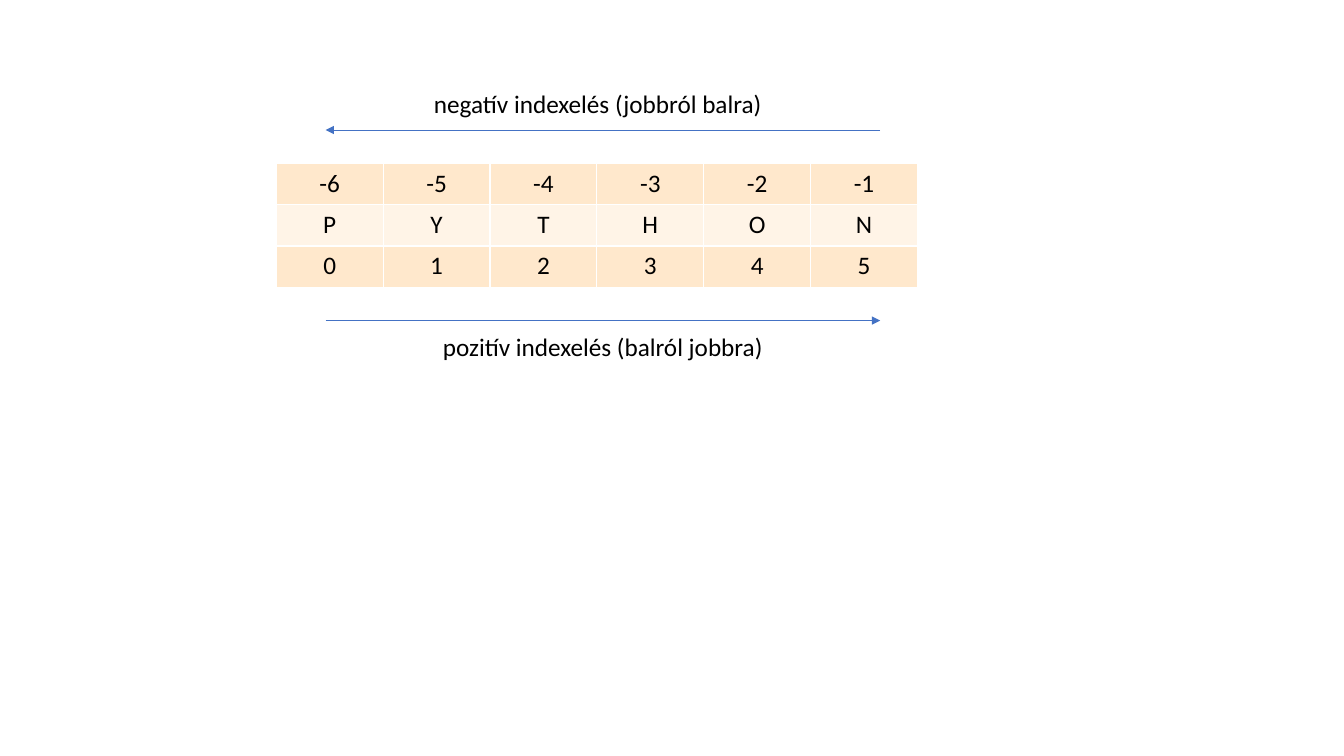
from dataclasses import dataclass

import pptx
import pptx.dml.color
import pptx.enum.shapes
import pptx.enum.text
import pptx.oxml
import pptx.oxml.ns
import pptx.presentation
import pptx.slide
import pptx.table
import pptx.text.text
import pptx.util
from pptx.util import Inches

qn = pptx.oxml.ns.qn


@dataclass(frozen=True)
class Theme:
    font: str = "Calibri"
    size: float = 18
    text: str = "000000"
    arrow: str = "4472C4"
    arrow_width: float = 0.5
    index_fill: str = "FFE8CC"
    letter_fill: str = "FFF4E7"
    border: str = "FFFFFF"
    border_width: float = 1


@dataclass(frozen=True)
class Direction:
    label: str
    label_left: float
    label_top: float
    arrow_from: float
    arrow_to: float
    arrow_y: float


THEME = Theme()
WORD = "PYTHON"
ROW_HEIGHT = 0.41
COL_WIDTH = 1.06
LABEL_WIDTH, LABEL_HEIGHT = 5.5, 0.4
DIRECTIONS = [
    Direction("pozitív indexelés (balról jobbra)", 3.23, 3.24, 3.23, 8.73, 3.18),
    Direction("negatív indexelés (jobbról balra)", 3.18, 0.83, 8.73, 3.23, 1.29),
]


def rgb(color: str) -> pptx.dml.color.RGBColor:
    return pptx.dml.color.RGBColor.from_string(color)


def write(tf: pptx.text.text.TextFrame, text: str) -> None:
    p = tf.paragraphs[0]
    p.text = text
    p.alignment = pptx.enum.text.PP_ALIGN.CENTER
    p.font.name = THEME.font
    p.font.size = pptx.util.Pt(THEME.size)
    p.font.color.rgb = rgb(THEME.text)


def set_borders(cell: pptx.table._Cell) -> None:
    tc_pr = cell._tc.get_or_add_tcPr()
    for side in ("lnL", "lnR", "lnT", "lnB"):
        ln = pptx.oxml.parse_xml(
            f'<a:{side} {pptx.oxml.ns.nsdecls("a")} w="{pptx.util.Pt(THEME.border_width)}">'
            f'<a:solidFill><a:srgbClr val="{THEME.border}"/></a:solidFill></a:{side}>'
        )
        tc_pr.append(ln)


def add_index_table(s: pptx.slide.Slide) -> None:
    n = len(WORD)
    rows = [
        (range(-n, 0), THEME.index_fill),
        (WORD, THEME.letter_fill),
        (range(n), THEME.index_fill),
    ]
    table = s.shapes.add_table(
        len(rows), n, Inches(2.74), Inches(1.62),
        Inches(COL_WIDTH * n), Inches(ROW_HEIGHT * len(rows)),
    ).table
    table.first_row = False
    table.horz_banding = False
    for i, (values, fill) in enumerate(rows):
        for j, value in enumerate(values):
            cell = table.cell(i, j)
            write(cell.text_frame, str(value))
            set_borders(cell)
            cell.fill.solid()
            cell.fill.fore_color.rgb = rgb(fill)


def add_arrow(s: pptx.slide.Slide, d: Direction) -> None:
    y = Inches(d.arrow_y)
    arrow = s.shapes.add_connector(
        pptx.enum.shapes.MSO_CONNECTOR.STRAIGHT,
        Inches(d.arrow_from), y, Inches(d.arrow_to), y,
    )
    arrow.line.color.rgb = rgb(THEME.arrow)
    arrow.line.width = pptx.util.Pt(THEME.arrow_width)
    sp_pr = arrow._element.spPr
    tail = pptx.oxml.parse_xml(f'<a:tailEnd {pptx.oxml.ns.nsdecls("a")} type="triangle"/>')
    sp_pr.find(qn("a:ln")).append(tail)
    sp_pr.append(pptx.oxml.parse_xml(f'<a:effectLst {pptx.oxml.ns.nsdecls("a")}/>'))


def add_label(s: pptx.slide.Slide, d: Direction) -> None:
    tf = s.shapes.add_textbox(
        Inches(d.label_left), Inches(d.label_top), Inches(LABEL_WIDTH), Inches(LABEL_HEIGHT)
    ).text_frame
    tf.word_wrap = True
    tf.auto_size = pptx.enum.text.MSO_AUTO_SIZE.SHAPE_TO_FIT_TEXT
    write(tf, d.label)


def main() -> None:
    prs = pptx.Presentation()
    prs.slide_width, prs.slide_height = Inches(13.33), Inches(7.5)
    s = prs.slides.add_slide(prs.slide_layouts[6])
    add_index_table(s)
    for d in DIRECTIONS:
        add_arrow(s, d)
    for d in DIRECTIONS:
        add_label(s, d)
    prs.save("out.pptx")


main()
